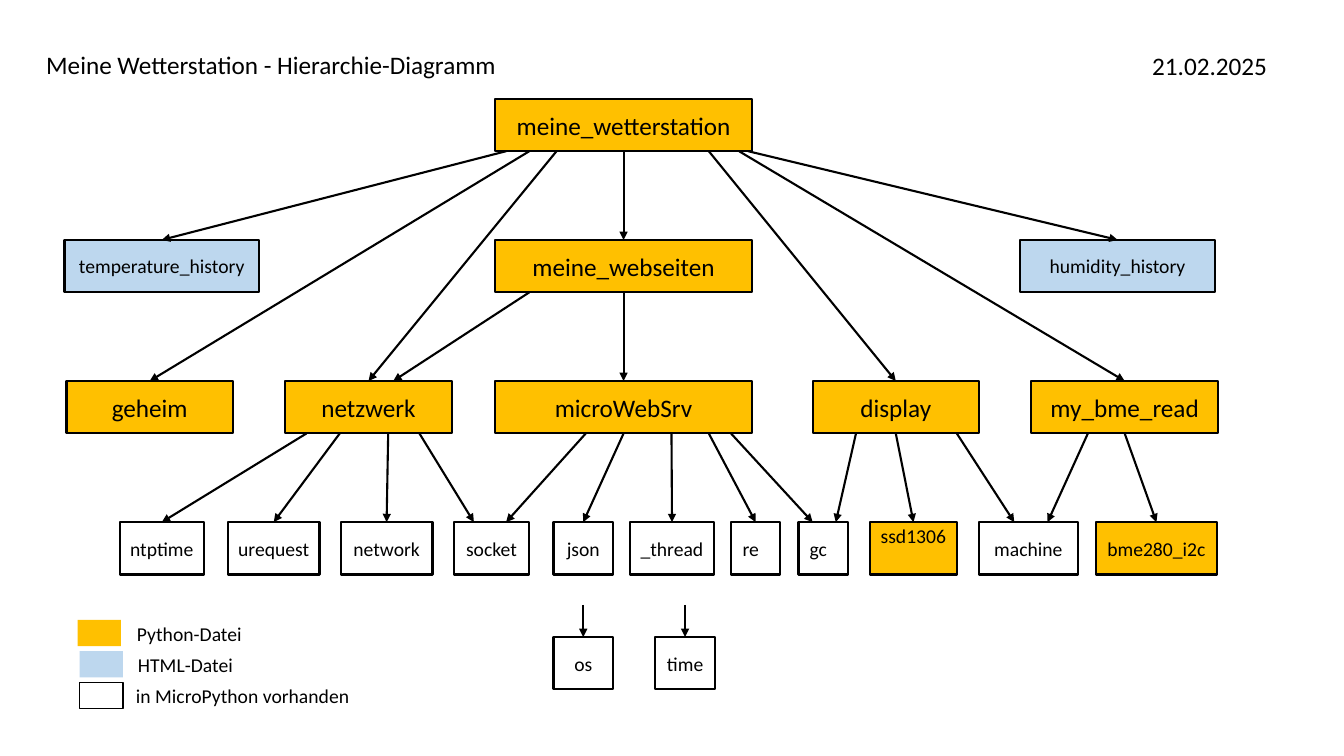
from lxml import etree
from pptx import Presentation
from pptx.dml.color import RGBColor
from pptx.enum.shapes import MSO_CONNECTOR, MSO_SHAPE
from pptx.enum.text import MSO_ANCHOR as ANCHOR, PP_ALIGN as ALIGN
from pptx.oxml.ns import qn
from pptx.util import Inches, Pt

FONT = "Calibri"
BLACK, WHITE, PYTHON, HTML = "000000", "FFFFFF", "FFC000", "BDD7EE"
BOX_H = 0.52
ROW_TOPS = [0, 1.4, 2.8, 4.2, 5.34]

# name, row, left, width, fill, size
MODULES = [
    ("meine_wetterstation", 0, 4.91, 2.55, PYTHON, 18),
    ("meine_webseiten", 1, 4.91, 2.55, PYTHON, 18),
    ("temperature_history", 1, 0.64, 1.93, HTML, 14),
    ("humidity_history", 1, 10.12, 1.93, HTML, 14),
    ("geheim", 2, 0.66, 1.65, PYTHON, 18),
    ("netzwerk", 2, 2.83, 1.65, PYTHON, 18),
    ("microWebSrv", 2, 4.91, 2.55, PYTHON, 18),
    ("display", 2, 8.06, 1.65, PYTHON, 18),
    ("my_bme_read", 2, 10.23, 1.85, PYTHON, 18),
    ("ntptime", 3, 1.19, 0.83, WHITE, 14),
    ("urequest", 3, 2.26, 0.91, WHITE, 14),
    ("network", 3, 3.38, 0.91, WHITE, 14),
    ("socket", 3, 4.5, 0.75, WHITE, 14),
    ("json", 3, 5.49, 0.59, WHITE, 14),
    ("_thread", 3, 6.25, 0.83, WHITE, 14),
    ("re", 3, 7.25, 0.49, WHITE, 14),
    ("gc", 3, 7.92, 0.49, WHITE, 14),
    ("ssd1306", 3, 8.63, 0.86, PYTHON, 14),
    ("machine", 3, 9.71, 0.98, WHITE, 14),
    ("bme280_i2c", 3, 10.87, 1.2, PYTHON, 14),
    ("os", 4, 5.49, 0.59, WHITE, 14),
    ("time", 4, 6.5, 0.59, WHITE, 14),
]

CALLS = [
    ("meine_wetterstation", 5.02, "temperature_history", None),
    ("meine_wetterstation", 5.25, "geheim", None),
    ("meine_wetterstation", 5.52, "netzwerk", None),
    ("meine_wetterstation", None, "meine_webseiten", None),
    ("meine_wetterstation", 7.03, "display", None),
    ("meine_wetterstation", 7.33, "my_bme_read", None),
    ("meine_wetterstation", 7.42, "humidity_history", None),
    ("meine_webseiten", 5.25, "netzwerk", 3.9),
    ("meine_webseiten", None, "microWebSrv", None),
    ("netzwerk", 3.04, "ntptime", None),
    ("netzwerk", 3.37, "urequest", None),
    ("netzwerk", 3.85, "network", None),
    ("netzwerk", 4.16, "socket", 4.7),
    ("microWebSrv", 5.81, "socket", 5.02),
    ("microWebSrv", None, "json", None),
    ("microWebSrv", 6.66, "_thread", None),
    ("microWebSrv", 7.03, "re", None),
    ("microWebSrv", 7.25, "gc", 8.06),
    ("display", 8.49, "gc", 8.29),
    ("display", None, "ssd1306", None),
    ("display", 9.49, "machine", 10.06),
    ("my_bme_read", 10.79, "machine", 10.39),
    ("my_bme_read", None, "bme280_i2c", None),
]


def color(value):
    return RGBColor.from_string(value)


def set_text(sp, text, size, align):
    tf = sp.text_frame
    tf.word_wrap = True
    p = tf.paragraphs[0]
    p.text = text
    p.alignment = align
    font = p.runs[0].font
    font.name, font.size = FONT, Pt(size)
    font.color.rgb = color(BLACK)
    return tf


def add_label(s, text, x, y, w, h, size):
    sp = s.shapes.add_textbox(Inches(x), Inches(y), Inches(w), Inches(h))
    set_text(sp, text, size, ALIGN.LEFT)


def add_box(s, x, y, w, h, fill, line_width):
    sp = s.shapes.add_shape(MSO_SHAPE.RECTANGLE, Inches(x), Inches(y), Inches(w), Inches(h))
    sp.shadow.inherit = False
    sp.fill.solid()
    sp.fill.fore_color.rgb = color(fill)
    if line_width:
        sp.line.color.rgb = color(BLACK)
        sp.line.width = Pt(line_width)
    else:
        sp.line.fill.background()
    return sp


def add_arrow(s, x1, y1, x2, y2):
    c = s.shapes.add_connector(MSO_CONNECTOR.STRAIGHT, x1, y1, x2, y2)
    c.line.color.rgb = color(BLACK)
    c.line.width = Pt(1.5)
    etree.SubElement(c.line._get_or_add_ln(), qn("a:tailEnd"), type="triangle")
    etree.SubElement(c._element.spPr, qn("a:effectLst"))
    return c


def add_call(s, parent, start, child, end):
    x1 = parent.left + parent.width // 2 if start is None else Inches(start)
    x2 = child.left + child.width // 2 if end is None else Inches(end)
    c = add_arrow(s, x1, parent.top + parent.height, x2, child.top)
    if start is None:
        c.begin_connect(parent, 2)
    if end is None:
        c.end_connect(child, 0)


def add_header(s, x, y, w):
    add_label(s, "Meine Wetterstation - Hierarchie-Diagramm", x, y, 4.72, 0.4, 18)
    add_label(s, "21.02.2025", x + w - 1.4, y + 0.01, 1.4, 0.4, 18)


def add_diagram(s, x, y):
    boxes = {}
    for name, row, left, width, fill, size in MODULES:
        sp = add_box(s, x + left, y + ROW_TOPS[row], width, BOX_H, fill, 1.5)
        tf = set_text(sp, name, size, ALIGN.CENTER)
        tf.vertical_anchor = ANCHOR.MIDDLE
        tf.margin_left = tf.margin_right = 0
        boxes[name] = sp
    for name in ("re", "gc"):
        boxes[name].text_frame.margin_right = Inches(0.1)
    tf = boxes["ssd1306"].text_frame
    tf.vertical_anchor = ANCHOR.TOP
    tf.margin_top = Inches(0.02)

    for parent, start, child, end in CALLS:
        add_call(s, boxes[parent], start and x + start, boxes[child], end and x + end)
    for name in ("os", "time"):
        sp = boxes[name]
        center = sp.left + sp.width // 2
        add_arrow(s, center, sp.top - Inches(0.32), center, sp.top).end_connect(sp, 0)


def add_legend(s, x, y):
    entries = [
        ("Python-Datei", PYTHON, 0, 0, 0.49),
        ("HTML-Datei", HTML, 0, 0.02, 0.5),
        ("in MicroPython vorhanden", WHITE, 1, 0.02, 0.48),
    ]
    for i, (text, fill, line_width, dx, text_dx) in enumerate(entries):
        top = y + i * 0.31
        add_box(s, x + dx, top + 0.03, 0.43, 0.26, fill, line_width)
        add_label(s, text, x + text_dx, top, 2.61, 0.34, 14)


def main():
    prs = Presentation()
    prs.slide_width, prs.slide_height = Inches(13.33), Inches(7.5)
    s = prs.slides.add_slide(prs.slide_layouts[6])
    add_diagram(s, 0, 0.98)
    add_header(s, 0.36, 0.44, 12.37)
    add_legend(s, 0.77, 6.12)
    prs.save("out.pptx")


if __name__ == "__main__":
    main()
